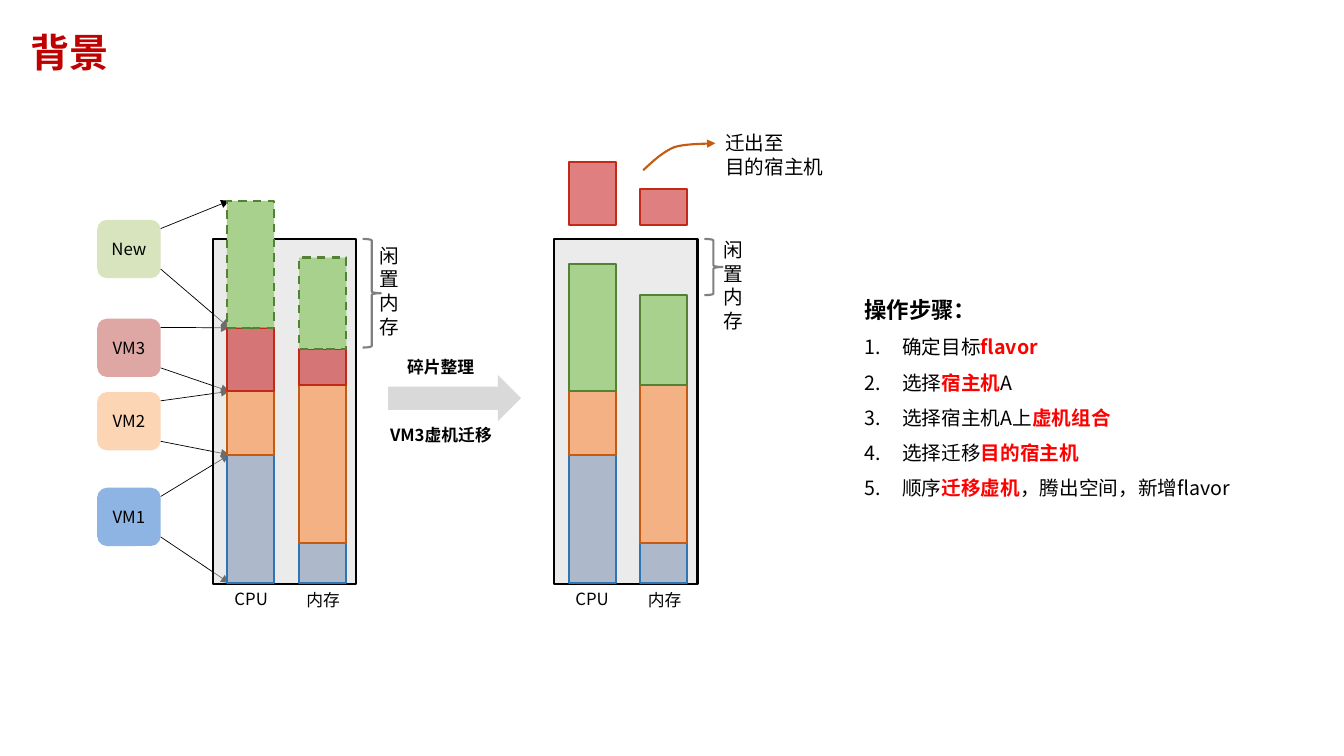
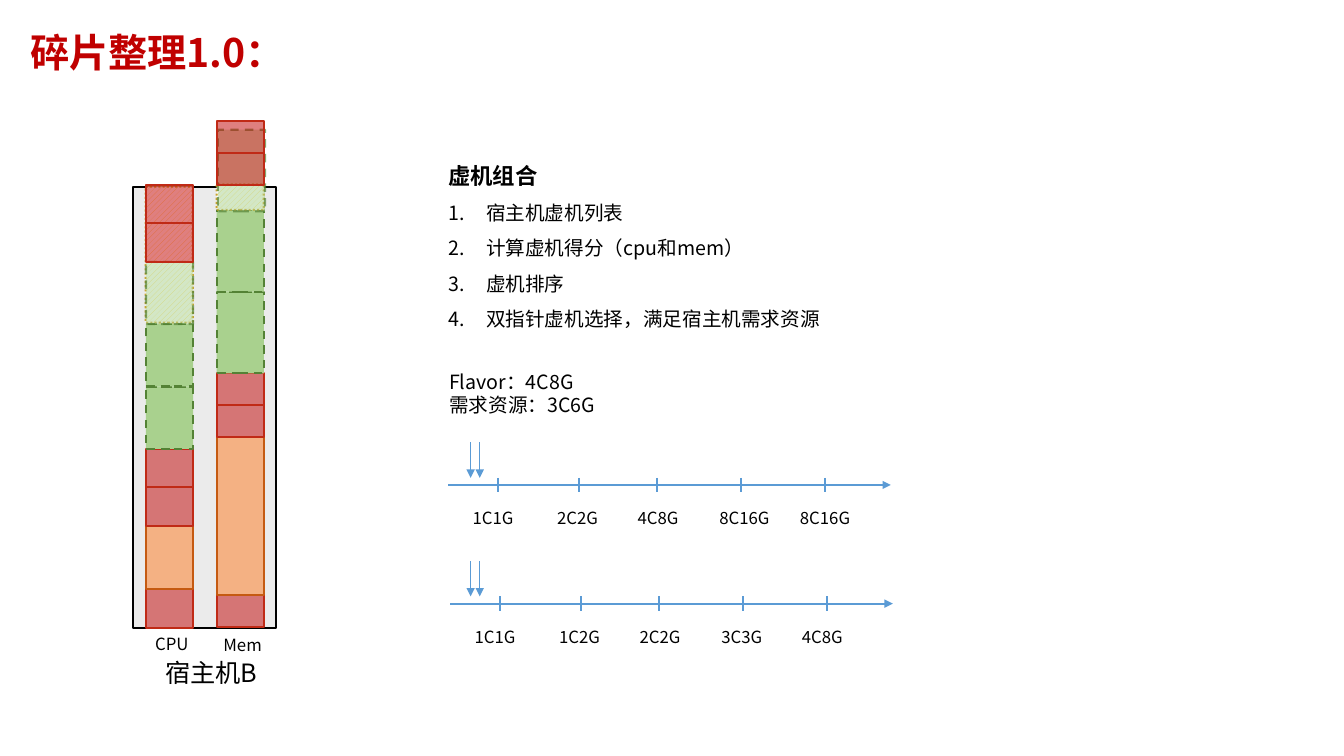
"""Build two slides on defragmenting virtual machine hosts."""
from lxml.etree import SubElement
from pptx import Presentation
from pptx.dml.color import RGBColor
from pptx.enum.dml import MSO_LINE as DASH, MSO_PATTERN as PATTERN
from pptx.enum.shapes import MSO_CONNECTOR, MSO_SHAPE as SHAPE
from pptx.enum.text import MSO_ANCHOR as ANCHOR, PP_ALIGN as ALIGN
from pptx.oxml.ns import qn
from pptx.util import Cm, Pt

FONT = "Noto Sans CJK SC"
BLACK, RED, TITLE_RED = "000000", "FF0000", "C00000"
GREY, BRACE_GREY, BLUE, ORANGE = "D9D9D9", "808080", "5B9BD5", "C55A11"

# kind: fill, fill opacity, line, dash, line opacity
BLOCKS = {
    "vm1": ("ADB9CA", 100, "2E75B6", None, 100),
    "vm2": ("F4B183", 100, ORANGE, None, 100),
    "vm3": ("C00000", 50, "C02A16", None, 100),
    "new": ("A9D18E", 100, "548235", DASH.DASH, 100),
    "placed": ("A9D18E", 100, "548235", None, 100),
    "faint": ("A9D18E", 50, "548235", DASH.DASH, 70),
    "hatch": ("FFD966", 100, "BF9000", DASH.ROUND_DOT, 80),
}
BLOCK_W = 1.19

# left, top, width, height
HOST_BEFORE = (5.36, 6.02, 3.61, 8.69)
HOST_AFTER = (13.97, 6.02, 3.61, 8.69)
HOST_B = (3.35, 4.72, 3.61, 11.1)

# left, base, blocks from the base upwards
CPU_BEFORE = (5.72, 14.69, [("vm1", 3.23), ("vm2", 1.6), ("vm3", 1.6), ("new", 3.2)])
STACKS_BEFORE = [
    (7.54, 14.69, [("vm1", 1), ("vm2", 3.99), ("vm3", 0.91), ("new", 2.3)]),
    CPU_BEFORE,
]
STACKS_AFTER = [
    (16.13, 14.69, [("vm1", 1), ("vm2", 3.99), ("placed", 2.26)]),
    (14.33, 14.69, [("vm1", 3.23), ("vm2", 1.6), ("placed", 3.2)]),
    (14.33, 5.68, [("vm3", 1.6)]),
    (16.13, 5.68, [("vm3", 0.91)]),
]
STACKS_B = [
    (3.67, 8.13, [("hatch", 3.43)]),
    (3.68, 15.82, [("vm3", 0.97), ("vm2", 1.6), ("vm3", 0.97), ("vm3", 0.97),
                   ("new", 1.57), ("new", 1.57), ("faint", 1.57),
                   ("vm3", 0.97), ("vm3", 0.97)]),
    (5.46, 15.8, [("vm3", 0.8), ("vm2", 3.99), ("vm3", 0.8), ("vm3", 0.8),
                  ("new", 2.06), ("new", 2.06), ("hatch", 0.64)]),
    (5.49, 5.33, [("faint", 2.06)]),
    (5.46, 4.66, [("vm3", 0.8), ("vm3", 0.8)]),
]

# label, fill, top; from the lowest CPU block upwards
VMS = [("VM1", "8EB4E3", 12.29), ("VM2", "FCD5B5", 9.88),
       ("VM3", "DEA7A3", 8.03), ("New", "D7E4BD", 5.54)]
VM_X, VM_W, VM_H = 2.45, 1.6, 1.47
ARROW_STARTS = (1.24, 0.22)

# text, box, size, bold
LABELS_1 = [
    ("CPU", (5.66, 14.71, 1.5, 0.79), 12, False),
    ("内存", (7.47, 14.73, 1.5, 0.79), 12, False),
    ("CPU", (14.25, 14.71, 1.5, 0.79), 12, False),
    ("内存", (16.08, 14.73, 1.5, 0.79), 12, False),
    ("闲置内存", (9.32, 6.02, 0.86, 2.67), 14, False),
    ("闲置内存", (17.98, 5.87, 0.86, 2.67), 14, False),
    ("碎片整理", (10.01, 8.86, 2.39, 0.79), 12, True),
    ("VM3虚机迁移", (9.58, 10.57, 3.35, 0.79), 12, True),
    ("迁出至\n目的宿主机", (18.03, 3.18, 3.07, 1.45), 14, False),
]
LABELS_2 = [
    ("CPU", (3.66, 15.85, 1.5, 0.79), 12, False),
    ("Mem", (5.38, 15.88, 1.75, 0.79), 12, False),
    ("宿主机B", (3.91, 16.43, 3, 1.02), 18, False),
    ("Flavor：4C8G\n需求资源：3C6G", (11.07, 9.19, 9.09, 1.45), 14, False),
]
BRACES = [(9.14, 6.02, 0.46, 2.74), (17.75, 6.02, 0.46, 1.42)]
BIG_ARROW = (9.78, 9.45, 3.35, 1.17)
OUT_CURVE = [
    ((16.21, 4.29), (16.46, 4.06), (16.69, 3.84), (16.99, 3.71)),
    ((16.99, 3.71), (17.3, 3.61), (17.86, 3.63), (18.03, 3.61)),
]

# words between asterisks are emphasised
STEPS = ("操作步骤：", (21.54, 7.01, 10.52, 5.66), [
    "确定目标*flavor*", "选择*宿主机*A", "选择宿主机A上*虚机组合*",
    "选择迁移*目的宿主机*", "顺序*迁移虚机*，腾出空间，新增flavor"])
COMBINE = ("虚机组合", (11.05, 3.63, 12.5, 4.78), [
    "宿主机虚机列表", "计算虚机得分（cpu和mem）", "虚机排序",
    "双指针虚机选择，满足宿主机需求资源"])

# left, height on the slide, labels
AXES = [(11.3, 12.22, ["1C1G", "2C2G", "4C8G", "8C16G", "8C16G"]),
        (11.35, 15.21, ["1C1G", "1C2G", "2C2G", "3C3G", "4C8G"])]
AXIS_W = 11.15
TICKS = (1.24, 3.3, 5.26, 7.37, 9.5)
TICK_LABELS = (0.36, 2.49, 4.52, 6.58, 8.61)
POINTERS = (11.86, 12.09)


def rgb(value):
    """Turn a hex string into a colour."""
    return RGBColor.from_string(value)


def set_opacity(element, percent):
    """Make the colour inside an XML element translucent."""
    if percent < 100:
        color = element.find(".//" + qn("a:srgbClr"))
        SubElement(color, qn("a:alpha")).set("val", str(percent * 1000))


def set_line(s, color, width, arrow=False):
    """Style an outline, with an arrowhead at its end if wanted."""
    s.line.color.rgb = rgb(color)
    s.line.width = Pt(width)
    if arrow:
        ln = s._element.spPr.find(qn("a:ln"))
        SubElement(ln, qn("a:tailEnd")).set("type", "triangle")


def add_run(p, text, size, color=BLACK, bold=False):
    """Add one formatted run."""
    r = p.add_run()
    r.text = text
    r.font.size, r.font.bold, r.font.name = Pt(size), bold, FONT
    r.font.color.rgb = rgb(color)
    SubElement(r._r.get_or_add_rPr(), qn("a:ea")).set("typeface", FONT)


def add_text(slide, text, box, size, bold=False, color=BLACK):
    """Add a wrapping text box with one paragraph a line."""
    tf = slide.shapes.add_textbox(*map(Cm, box)).text_frame
    tf.word_wrap = True
    for i, line in enumerate(text.split("\n")):
        p = tf.add_paragraph() if i else tf.paragraphs[0]
        add_run(p, line, size, color, bold)
    return tf


def add_shape(slide, kind, box, fill=None, opacity=100, line=None):
    """Add a preset shape without a shadow."""
    s = slide.shapes.add_shape(kind, *map(Cm, box))
    s.shadow.inherit = False
    if fill:
        s.fill.solid()
        s.fill.fore_color.rgb = rgb(fill)
        set_opacity(s._element.spPr.find(qn("a:solidFill")), opacity)
    else:
        s.fill.background()
    if line:
        set_line(s, line, 1.5)
    else:
        s.line.fill.background()
    return s


def add_line(slide, start, end, color, width, arrow=False):
    """Add a straight line or arrow."""
    s = slide.shapes.add_connector(MSO_CONNECTOR.STRAIGHT, *map(Cm, start + end))
    set_line(s, color, width, arrow)
    SubElement(s._element.spPr, qn("a:effectLst"))


def add_curve(slide, segments, color, steps=10):
    """Draw Bézier segments as one open outline ending in an arrow."""
    points = []
    for a, b, c, d in segments:
        for t in (i / steps for i in range(1, steps + 1)):
            u = 1 - t
            points.append(tuple(
                Cm(u**3 * k + 3 * u * u * t * m + 3 * u * t * t * n + t**3 * o)
                for k, m, n, o in zip(a, b, c, d)))
    builder = slide.shapes.build_freeform(*map(Cm, segments[0][0]))
    builder.add_line_segments(points, close=False)
    s = builder.convert_to_shape()
    s.shadow.inherit = False
    s.fill.background()
    set_line(s, color, 1.5, arrow=True)


def add_host(slide, box, stacks):
    """Draw a host and its stacks of blocks."""
    add_shape(slide, SHAPE.RECTANGLE, box, GREY, 50, BLACK)
    for x, base, blocks in stacks:
        for kind, height in blocks:
            base -= height
            fill, opacity, line, dash, line_opacity = BLOCKS[kind]
            s = add_shape(slide, SHAPE.RECTANGLE, (x, base, BLOCK_W, height),
                          fill, opacity, line)
            if kind == "hatch":
                s.fill.patterned()
                s.fill.pattern = PATTERN.WIDE_UPWARD_DIAGONAL
                s.fill.fore_color.rgb = rgb(fill)
                s.fill.back_color.rgb = rgb("FFFFFF")
            if dash:
                s.line.dash_style = dash
            set_opacity(s._element.spPr.find(qn("a:ln")), line_opacity)


def add_vms(slide):
    """Draw the machines with arrows to both ends of their CPU blocks."""
    x, edge, blocks = CPU_BEFORE
    for (label, fill, top), (_, height) in zip(VMS, blocks):
        s = add_shape(slide, SHAPE.ROUNDED_RECTANGLE, (VM_X, top, VM_W, VM_H), fill)
        s.text_frame.vertical_anchor = ANCHOR.MIDDLE
        p = s.text_frame.paragraphs[0]
        p.alignment = ALIGN.CENTER
        add_run(p, label, 12)
        for start, end in zip(ARROW_STARTS, (edge, edge - height)):
            add_line(slide, (VM_X + VM_W, top + start), (x + 0.06, end),
                     BLACK, 0.5, arrow=True)
        edge -= height


def add_numbered(slide, heading, box, items):
    """Add a heading with a numbered list below it."""
    tf = add_text(slide, heading, box, 16, bold=True)
    for item in items:
        p = tf.add_paragraph()
        for i, part in enumerate(item.split("*")):
            if part:
                add_run(p, part, 14, RED if i % 2 else BLACK, bool(i % 2))
        pPr = p._p.get_or_add_pPr()
        pPr.set("marL", str(Cm(0.95)))
        pPr.set("indent", str(-Cm(0.95)))
        SubElement(pPr, qn("a:buFont")).set("typeface", "+mj-lt")
        SubElement(pPr, qn("a:buAutoNum")).set("type", "arabicPeriod")
    for p in tf.paragraphs:
        p.line_spacing = 1.5


def add_axis(slide, x, y, labels):
    """Draw an axis with ticks, labels and two pointers."""
    add_line(slide, (x, y), (x + AXIS_W, y), BLUE, 1.5, arrow=True)
    for tick, left, label in zip(TICKS, TICK_LABELS, labels):
        add_line(slide, (x + tick, y - 0.18), (x + tick, y + 0.18), BLUE, 1.5)
        add_text(slide, label, (x + left, y + 0.45, 2.08, 0.76), 12)
    for pointer in POINTERS:
        add_line(slide, (pointer, y - 1.07), (pointer, y - 0.18), BLUE, 0.5, arrow=True)


def add_slide(prs, title, labels):
    """Add a blank slide with its title and loose labels."""
    slide = prs.slides.add_slide(prs.slide_layouts[6])
    tf = add_text(slide, title, (0.51, 0.79, 29.01, 1.17), 28, True, TITLE_RED)
    tf.vertical_anchor = ANCHOR.MIDDLE
    tf.paragraphs[0].line_spacing = 0.9
    for label in labels:
        add_text(slide, *label)
    return slide


def main():
    """Build and save the presentation."""
    prs = Presentation()
    prs.slide_width, prs.slide_height = Cm(33.87), Cm(19.05)

    slide = add_slide(prs, "背景", LABELS_1)
    add_vms(slide)
    add_host(slide, HOST_BEFORE, STACKS_BEFORE)
    add_host(slide, HOST_AFTER, STACKS_AFTER)
    for box in BRACES:
        add_shape(slide, SHAPE.RIGHT_BRACE, box, line=BRACE_GREY)
    add_shape(slide, SHAPE.RIGHT_ARROW, BIG_ARROW, GREY)
    add_curve(slide, OUT_CURVE, ORANGE)
    add_numbered(slide, *STEPS)

    slide = add_slide(prs, "碎片整理1.0：", LABELS_2)
    add_host(slide, HOST_B, STACKS_B)
    add_numbered(slide, *COMBINE)
    for axis in AXES:
        add_axis(slide, *axis)

    prs.save("out.pptx")


if __name__ == "__main__":
    main()
